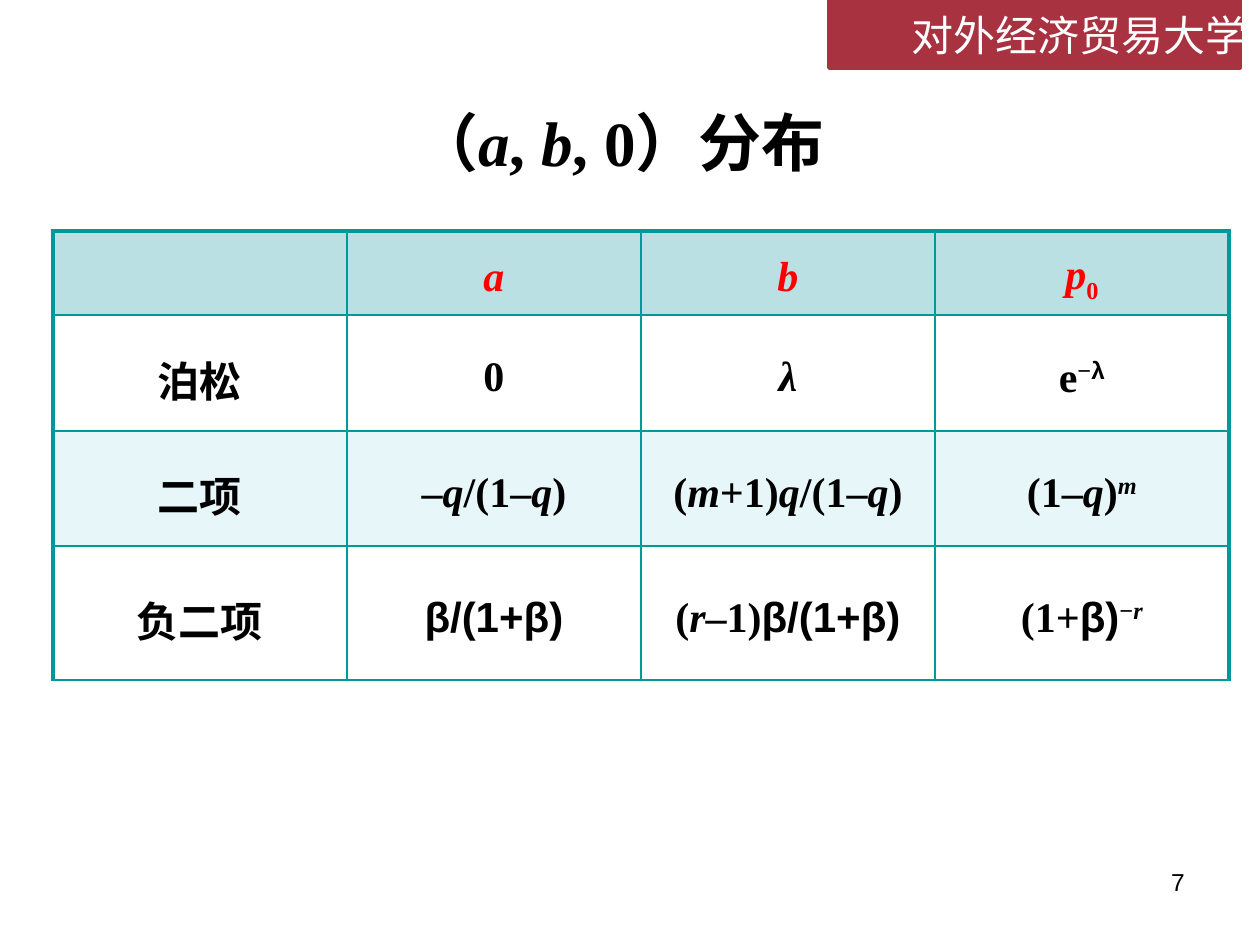
from lxml.etree import SubElement
from pptx import Presentation
from pptx.dml.color import RGBColor
from pptx.enum.shapes import MSO_SHAPE
from pptx.enum.text import MSO_ANCHOR, MSO_AUTO_SIZE, PP_ALIGN
from pptx.oxml import parse_xml
from pptx.oxml.ns import nsdecls, qn
from pptx.util import Emu, Pt

PX = 914400 // 126
SERIF, SANS, CJK = "Times New Roman", "Arial", "Noto Sans CJK SC"
TEAL, RED, BLACK = "009999", "FF0000", "000000"
HEAD_FILL, BAND_FILL, BANNER = "BBE0E3", "E7F7F9", "A83240"


def px(n):
    return Emu(n * PX)


def rgb(color):
    return RGBColor.from_string(color)


class SlideBuilder:
    """Run marks: i italic, s sans, ^ superscript, _ subscript."""

    def __init__(self, prs):
        self.slide = prs.slides.add_slide(prs.slide_layouts[5])

    def fill_text(self, tf, runs, size, font=SERIF, color=BLACK, bold=False,
                  align=PP_ALIGN.CENTER, spacing=None):
        p = tf.paragraphs[0]
        p.alignment = align
        if spacing:
            p.line_spacing = spacing
        f = p.font
        f.size, f.name, f.bold = Pt(size), font, bold
        f.color.rgb = rgb(color)
        SubElement(f._element, qn("a:ea")).set("typeface", CJK)
        for text, marks in runs:
            r = p.add_run()
            r.text = text
            if "i" in marks:
                r.font.italic = True
            if "s" in marks:
                r.font.name = SANS
            for mark, baseline in (("^", "30000"), ("_", "-25000")):
                if mark in marks:
                    r.font._element.set("baseline", baseline)

    def title(self, box, runs, size):
        sp = self.slide.shapes.title
        sp.left, sp.top, sp.width, sp.height = map(px, box)
        tf = sp.text_frame
        tf.auto_size = MSO_AUTO_SIZE.NONE
        tf.vertical_anchor = MSO_ANCHOR.MIDDLE
        self.fill_text(tf, runs, size, bold=True)

    def text(self, box, text, size, **style):
        tf = self.slide.shapes.add_textbox(*map(px, box)).text_frame
        tf.word_wrap = True
        self.fill_text(tf, [(text, "")], size, **style)

    def rect(self, box, color):
        sp = self.slide.shapes.add_shape(MSO_SHAPE.RECTANGLE, *map(px, box))
        sp.shadow.inherit = False
        sp.fill.solid()
        sp.fill.fore_color.rgb = rgb(color)
        sp.line.color.rgb = rgb(color)
        sp.line.width = Pt(2)

    def borders(self, cell, widths):
        tc_pr = cell._tc.get_or_add_tcPr()
        for i, (side, width) in enumerate(zip("LRTB", widths)):
            tc_pr.insert(i, parse_xml(
                f'<a:ln{side} {nsdecls("a")} w="{Pt(width)}"><a:solidFill>'
                f'<a:srgbClr val="{TEAL}"/></a:solidFill></a:ln{side}>'))

    def table(self, left, top, col_width, heights, rows, fills):
        n_cols = len(rows[0])
        box = (left, top, col_width * n_cols, sum(heights))
        table = self.slide.shapes.add_table(len(rows), n_cols, *map(px, box)).table
        for col in table.columns:
            col.width = px(col_width)
        for i, (row, height, fill) in enumerate(zip(rows, heights, fills)):
            table.rows[i].height = px(height)
            for j, runs in enumerate(row):
                cell = table.cell(i, j)
                cell.vertical_anchor = MSO_ANCHOR.MIDDLE
                if fill:
                    cell.fill.solid()
                    cell.fill.fore_color.rgb = rgb(fill)
                else:
                    cell.fill.background()
                # Outer left, right and top edges are heavier
                outer = (j == 0, j == n_cols - 1, i == 0, False)
                self.borders(cell, [2.25 if o else 1.5 for o in outer])
                self.fill_text(cell.text_frame, runs, 24, bold=True, spacing=1.2,
                               color=BLACK if i else RED)


def main():
    prs = Presentation()
    prs.slide_width, prs.slide_height = px(1260), px(945)
    s = SlideBuilder(prs)

    # University banner
    s.rect((829, -3, 411, 71), BANNER)
    s.text((823, 3, 514, 78), "对外经济贸易大学", 24, font=CJK, color="FFFFFF")

    # Title and page number
    s.title((53, 97, 1134, 88),
            [("（", ""), ("a", "i"), (",", ""), (" b", "i"), (", 0）分布", "")], 36)
    s.text((903, 861, 294, 66), "7", 14, font=SANS, align=PP_ALIGN.RIGHT)

    # Parameters of each distribution
    q_ratio = [("q", "i"), ("/(1‒", ""), ("q", "i"), (")", "")]
    beta_ratio = ("β/(1+β)", "s")
    rows = [
        [[], [("a", "i")], [("b", "i")], [("p", "i"), ("0", "_")]],
        [[("泊松", "s")], [("0", "")], [("λ", "i")],
         [("e", ""), ("−", "^"), ("λ", "s^")]],
        [[("二项", "s")], [("‒", "")] + q_ratio,
         [("(", ""), ("m", "i"), ("+1)", "")] + q_ratio,
         [("(1‒", ""), ("q", "i"), (")", ""), ("m", "i^")]],
        [[("负二项", "s")], [beta_ratio],
         [("(", ""), ("r", "i"), ("‒1)", ""), beta_ratio],
         [("(1+", ""), ("β)", "s"), ("−", "^"), ("r", "i^")]],
    ]
    s.table(53, 231, 294, [84, 116, 115, 134], rows,
            [HEAD_FILL, None, BAND_FILL, None])

    prs.save("out.pptx")


if __name__ == "__main__":
    main()
